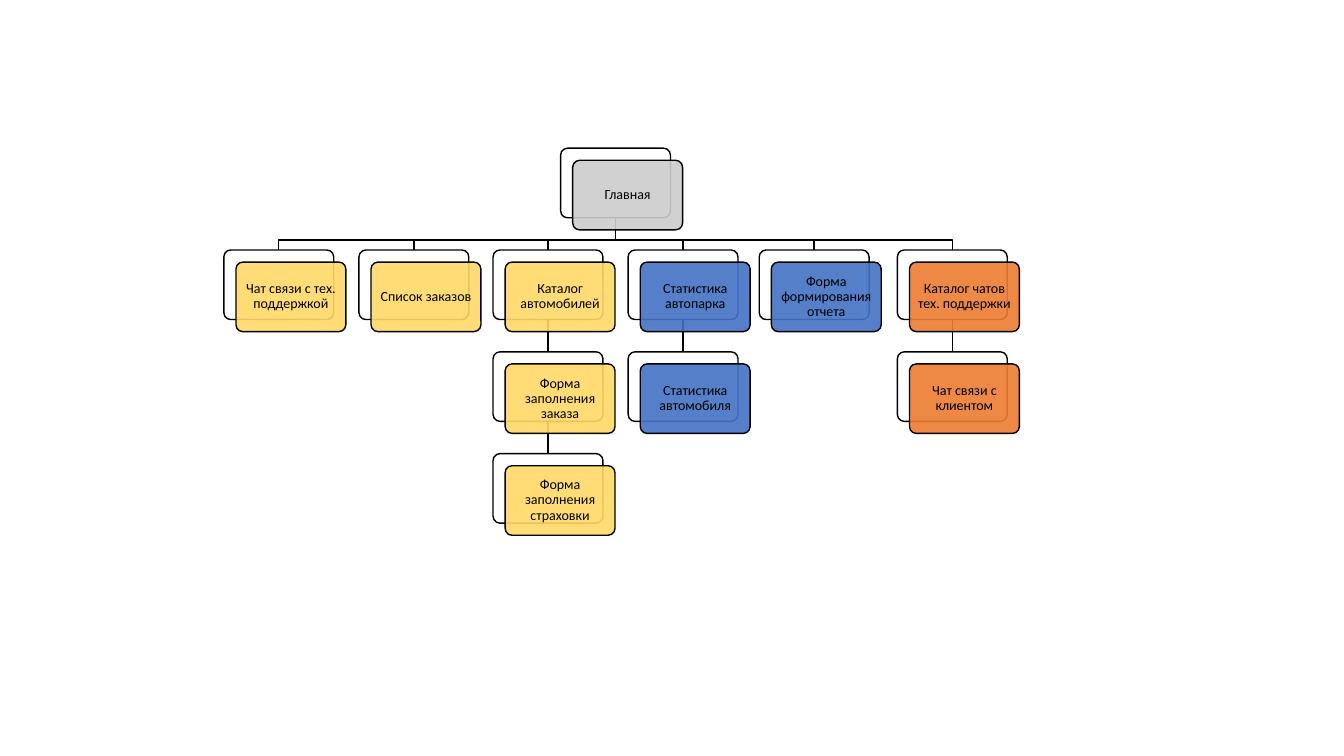
from lxml.etree import SubElement
from pptx import Presentation
from pptx.dml.color import RGBColor
from pptx.enum.shapes import MSO_CONNECTOR, MSO_SHAPE
from pptx.enum.text import MSO_ANCHOR, PP_ALIGN
from pptx.oxml.ns import qn
from pptx.util import Inches, Pt

WIDTH, HEIGHT = 1.09, 0.69
TOP, STEP = 1.47, 1.01
SHIFT = 0.12
ROOT = 5.56
GRAY, YELLOW, BLUE, ORANGE = "CCCCCC", "FFD966", "4472C4", "ED7D31"
BRANCHES = [
    (2.22, YELLOW, ["Чат связи с тех. поддержкой"]),
    (3.56, YELLOW, ["Список заказов"]),
    (4.89, YELLOW, ["Каталог автомобилей", "Форма заполнения заказа",
                    "Форма заполнения страховки"]),
    (6.23, BLUE, ["Статистика автопарка", "Статистика автомобиля"]),
    (7.53, BLUE, ["Форма формирования отчета"]),
    (8.90, ORANGE, ["Каталог чатов тех. поддержки", "Чат связи с клиентом"]),
]


def paint(format, color):
    format.solid()
    format.fore_color.rgb = RGBColor.from_string(color)


def ink(line):
    paint(line.fill, "000000")
    line.width = Pt(1)


def add_box(slide, left, top, color):
    box = slide.shapes.add_shape(
        MSO_SHAPE.ROUNDED_RECTANGLE,
        Inches(left), Inches(top), Inches(WIDTH), Inches(HEIGHT))
    box.adjustments[0] = 0.1
    box.shadow.inherit = False
    paint(box.fill, color)
    ink(box.line)
    return box


def add_card(slide, left, row, color, text):
    top = TOP + STEP * row
    back = add_box(slide, left, top, "FFFFFF")
    front = add_box(slide, left + SHIFT, top + SHIFT, color)
    tint = front.fill._xPr.find(qn("a:solidFill"))[0]
    SubElement(tint, qn("a:alpha"), val="90000")
    frame = front.text_frame
    frame.word_wrap = True
    frame.vertical_anchor = MSO_ANCHOR.MIDDLE
    frame.margin_left = frame.margin_right = Inches(0.04)
    frame.margin_top = frame.margin_bottom = Inches(0.04)
    frame.text = text
    par = frame.paragraphs[0]
    par.alignment = PP_ALIGN.CENTER
    par.line_spacing = 0.9
    par.font.name = "Calibri"
    par.font.size = Pt(10)
    par.font.color.rgb = RGBColor.from_string("000000")
    return back


def to_back(slide, shape):
    slide.shapes._spTree.insert(2, shape._element)


def add_link(slide, upper, lower):
    link = slide.shapes.add_connector(MSO_CONNECTOR.STRAIGHT, 0, 0, 0, 0)
    link.begin_connect(upper, 2)
    link.end_connect(lower, 0)
    ink(link.line)
    SubElement(link._element.spPr, qn("a:effectLst"))
    to_back(slide, link)


def add_bend(slide, left):
    start, end = ROOT + WIDTH / 2, left + WIDTH / 2
    turn = 2.38
    form = slide.shapes.build_freeform(
        Inches(start), Inches(TOP + HEIGHT), scale=1.0)
    form.add_line_segments(
        [(Inches(start), Inches(turn)), (Inches(end), Inches(turn)),
         (Inches(end), Inches(TOP + STEP))], close=False)
    bend = form.convert_to_shape()
    bend.shadow.inherit = False
    bend.fill.background()
    ink(bend.line)
    to_back(slide, bend)


def main():
    deck = Presentation()
    deck.slide_width, deck.slide_height = Inches(13.33), Inches(7.5)
    slide = deck.slides.add_slide(deck.slide_layouts[6])
    add_card(slide, ROOT, 0, GRAY, "Главная")
    for left, color, names in BRANCHES:
        add_bend(slide, left)
        cards = [add_card(slide, left, row, color, name)
                 for row, name in enumerate(names, 1)]
        for upper, lower in zip(cards, cards[1:]):
            add_link(slide, upper, lower)
    deck.save("out.pptx")


if __name__ == "__main__":
    main()
